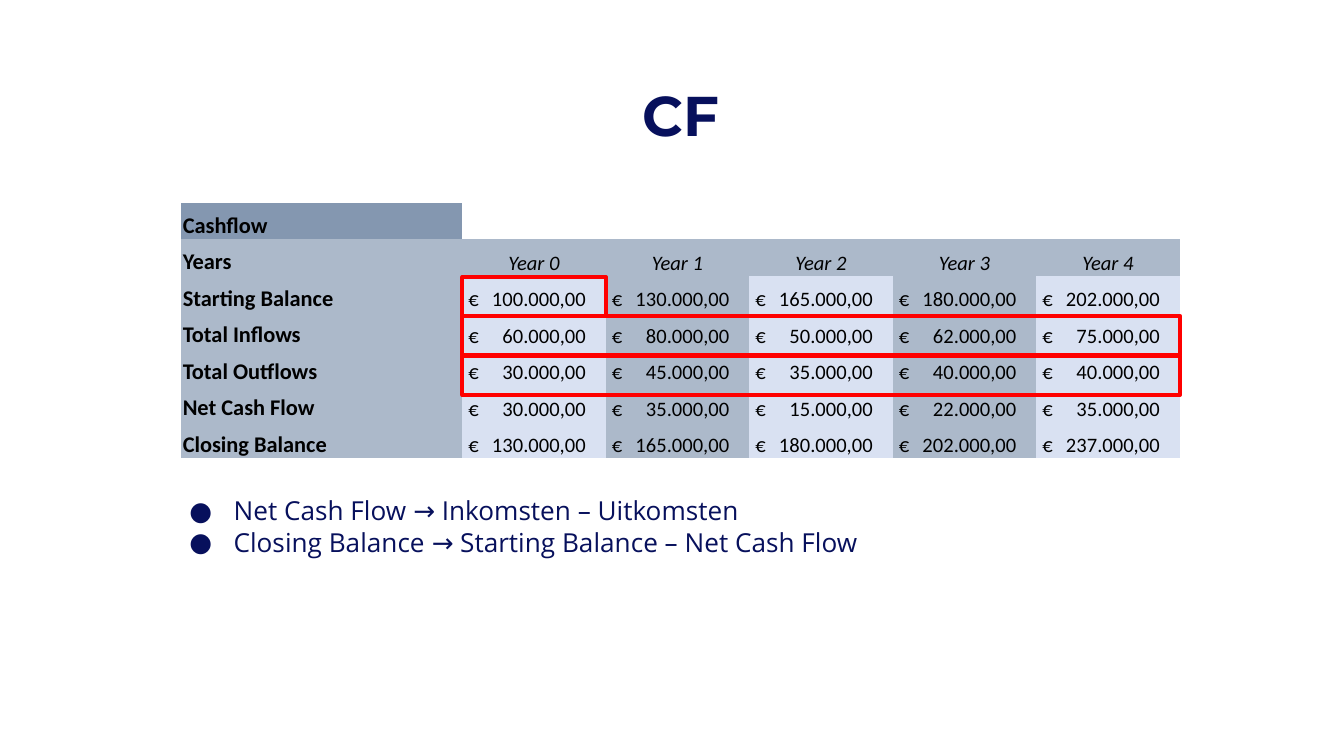
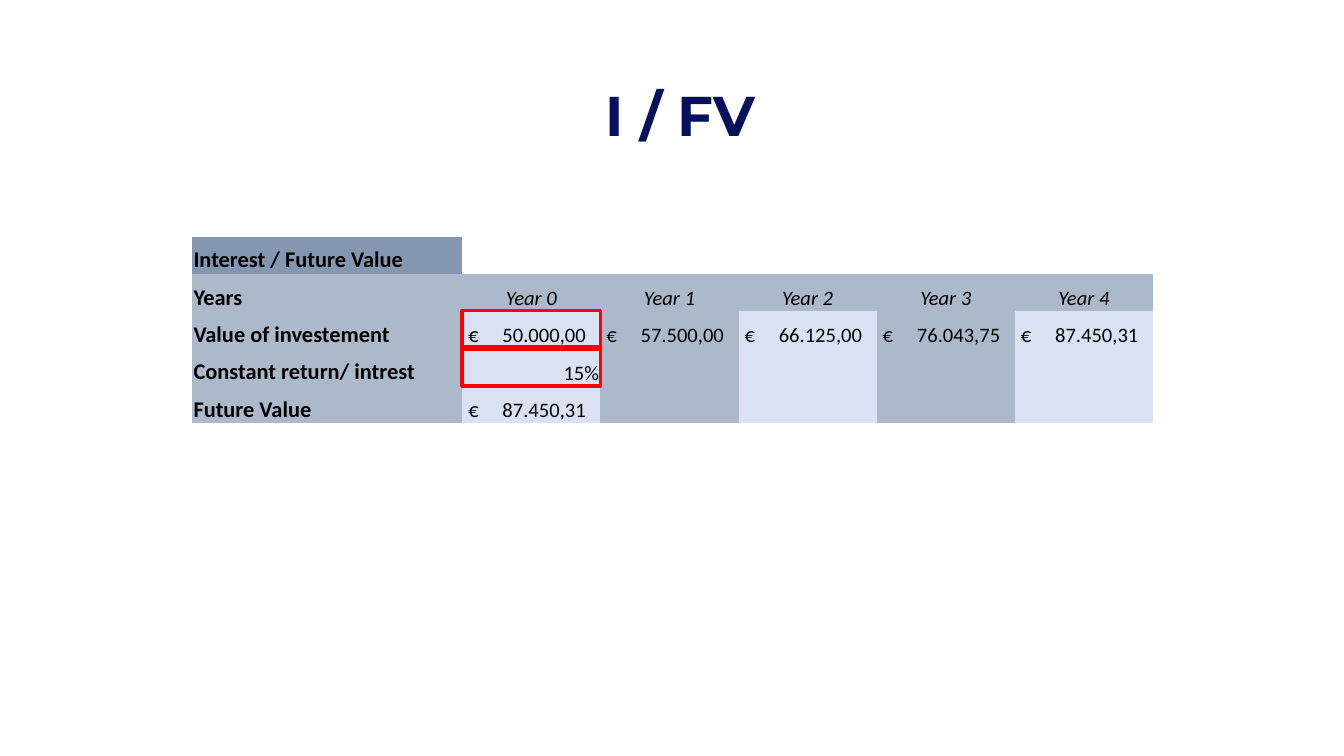
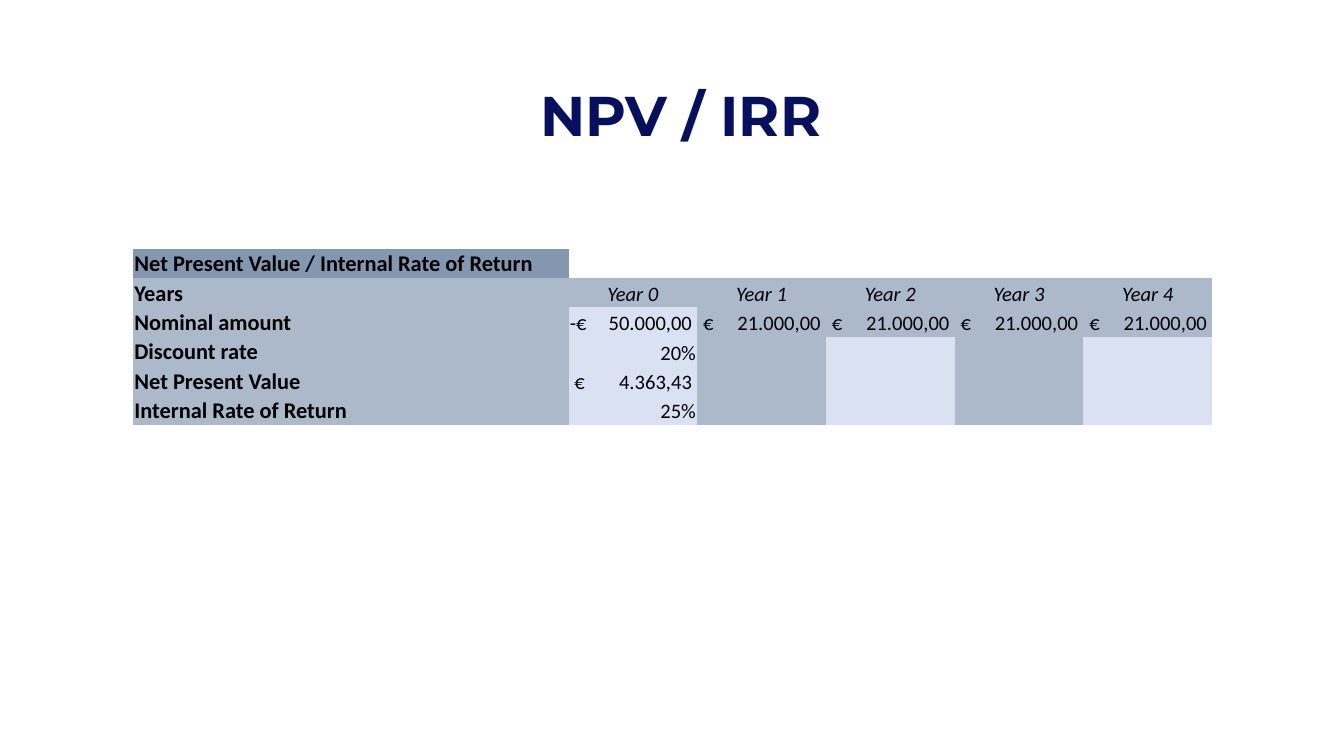
from lxml import etree
from pptx import Presentation
from pptx.dml.color import RGBColor
from pptx.enum.shapes import MSO_SHAPE
from pptx.enum.text import MSO_ANCHOR, PP_ALIGN
from pptx.oxml.ns import qn
from pptx.util import Inches, Pt

RECTANGLE = MSO_SHAPE.RECTANGLE
BOTTOM = MSO_ANCHOR.BOTTOM
LEFT, CENTER, RIGHT = PP_ALIGN.LEFT, PP_ALIGN.CENTER, PP_ALIGN.RIGHT

COLORS = {
    "navy": "07105C",
    "black": "000000",
    "header": "8497B0",
    "label": "ACB9CA",
    "light": "D9E1F2",
    "highlight": "FF0000",
}
NO_GRID_STYLE = "{2D5ABB26-0587-4C30-8999-92F81FD0307C}"
AMOUNT_TAB = 0.91
HIGHLIGHT_HEIGHT = 0.29
YEARS = ["Year 0", "Year 1", "Year 2", "Year 3", "Year 4"]

SLIDES = [
    {
        "title": "CF",
        "heading": "Cashflow",
        "rows": [
            ("Starting Balance", ["100.000,00", "130.000,00", "165.000,00", "180.000,00", "202.000,00"]),
            ("Total Inflows", ["60.000,00", "80.000,00", "50.000,00", "62.000,00", "75.000,00"]),
            ("Total Outflows", ["30.000,00", "45.000,00", "35.000,00", "40.000,00", "40.000,00"]),
            ("Net Cash Flow", ["30.000,00", "35.000,00", "15.000,00", "22.000,00", "35.000,00"]),
            ("Closing Balance", ["130.000,00", "165.000,00", "180.000,00", "202.000,00", "237.000,00"]),
        ],
        "left": 1.35, "top": 1.51, "width": 7.43, "height": 1.9, "label_width": 2.09,
        "highlights": [(2.06, 1), (2.35, 5), (2.65, 5)],
        "notes": [
            "Net Cash Flow → Inkomsten – Uitkomsten",
            "Closing Balance → Starting Balance – Net Cash Flow",
        ],
    },
    {
        "title": "I / FV",
        "heading": "Interest / Future Value",
        "rows": [
            ("Value of investement", ["50.000,00", "57.500,00", "66.125,00", "76.043,75", "87.450,31"]),
            ("Constant return/ intrest", ["15%"]),
            ("Future Value", ["87.450,31"]),
        ],
        "left": 1.43, "top": 1.76, "width": 7.15, "height": 1.39, "label_width": 2.01,
        "highlights": [(2.31, 1), (2.58, 1)],
    },
    {
        "title": "NPV / IRR",
        "heading": "Net Present Value / Internal Rate of Return",
        "rows": [
            ("Nominal amount", ["-50.000,00", "21.000,00", "21.000,00", "21.000,00", "21.000,00"]),
            ("Discount rate", ["20%"]),
            ("Net Present Value", ["4.363,43"]),
            ("Internal Rate of Return", ["25%"]),
        ],
        "left": 0.99, "top": 1.85, "width": 8.03, "height": 1.31, "label_width": 3.24,
        "unbanded": ["Nominal amount"],
    },
]


def rgb(name):
    return RGBColor.from_string(COLORS[name])


def year_width(content):
    return (content["width"] - content["label_width"]) / len(YEARS)


def write(paragraph, text, size=11, font="Calibri", color="black", bold=False, italic=False, align=LEFT):
    paragraph.alignment = align
    if not text:
        etree.SubElement(paragraph._p, qn("a:endParaRPr"), sz=str(size * 100))
        return
    run = paragraph.add_run()
    run.text = text
    run.font.size = Pt(size)
    run.font.name = font
    run.font.color.rgb = rgb(color)
    run.font.bold = bold
    run.font.italic = italic


def add_text_frame(slide, left, top, width, height):
    box = slide.shapes.add_textbox(Inches(left), Inches(top), Inches(width), Inches(height))
    frame = box.text_frame
    frame.word_wrap = True
    frame.margin_left = frame.margin_right = Inches(0.1)
    frame.margin_top = frame.margin_bottom = Inches(0.1)
    return frame


def add_notes(slide, notes):
    frame = add_text_frame(slide, 1.14, 3.58, 6.04, 1.39)
    for index, note in enumerate(notes):
        paragraph = frame.add_paragraph() if index else frame.paragraphs[0]
        write(paragraph, note, size=14, font="Open Sans", color="navy")
        properties = paragraph._p.get_or_add_pPr()
        properties.set("marL", str(Inches(0.5)))
        properties.set("indent", str(Inches(-0.33)))
        bullet_color = etree.SubElement(properties, qn("a:buClr"))
        etree.SubElement(bullet_color, qn("a:srgbClr"), val=COLORS["navy"])
        etree.SubElement(properties, qn("a:buSzPts"), val="1400")
        etree.SubElement(properties, qn("a:buFont"), typeface="Open Sans")
        etree.SubElement(properties, qn("a:buChar"), char="●")


def fill_cell(cell, text, fill, **style):
    cell.vertical_anchor = BOTTOM
    cell.margin_left = cell.margin_right = cell.margin_top = Inches(0.01)
    cell.margin_bottom = 0
    if fill:
        cell.fill.solid()
        cell.fill.fore_color.rgb = rgb(fill)
    else:
        cell.fill.background()
    write(cell.text_frame.paragraphs[0], text, **style)


def fill_value(cell, value, fill):
    if not value or value.endswith("%"):
        fill_cell(cell, value, fill, align=RIGHT)
        return
    sign = "-" if value.startswith("-") else " "
    fill_cell(cell, f"{sign}€\t{value.lstrip('-')}", fill)
    properties = cell.text_frame.paragraphs[0]._p.get_or_add_pPr()
    tabs = etree.SubElement(properties, qn("a:tabLst"))
    etree.SubElement(tabs, qn("a:tab"), pos=str(Inches(AMOUNT_TAB)), algn="r")


def add_year_table(slide, content):
    row_count, column_count = len(content["rows"]) + 2, len(YEARS) + 1
    widths = [content["label_width"]] + [year_width(content)] * len(YEARS)
    frame = slide.shapes.add_table(
        row_count, column_count, Inches(content["left"]), Inches(content["top"]),
        Inches(content["width"]), Inches(content["height"]))
    table = frame.table
    table.first_row = table.horz_banding = False
    table._tbl.tblPr.find(qn("a:tableStyleId")).text = NO_GRID_STYLE
    for column, width in zip(table.columns, widths):
        column.width = Inches(width)
    for row in table.rows:
        row.height = Inches(content["height"] / row_count)

    fill_cell(table.cell(0, 0), content["heading"], "header", size=12, bold=True)
    fill_cell(table.cell(1, 0), "Years", "label", size=12, bold=True)
    for column, year in enumerate(YEARS, 1):
        fill_cell(table.cell(0, column), "", None)
        fill_cell(table.cell(1, column), year, "label", italic=True, align=CENTER)
    for row, (label, values) in enumerate(content["rows"], 2):
        fill_cell(table.cell(row, 0), label, "label", size=12, bold=True)
        banded = label not in content.get("unbanded", [])
        for column in range(1, column_count):
            value = values[column - 1] if column <= len(values) else ""
            light = column == 1 or (banded and column % 2)
            fill_value(table.cell(row, column), value, "light" if light else "label")


def add_highlight(slide, content, top, year_count):
    left = content["left"] + content["label_width"]
    highlight = slide.shapes.add_shape(
        RECTANGLE, Inches(left), Inches(top),
        Inches(year_count * year_width(content)), Inches(HIGHLIGHT_HEIGHT))
    highlight.shadow.inherit = False
    highlight.fill.background()
    highlight.line.color.rgb = rgb("highlight")
    highlight.line.width = Pt(2)
    etree.SubElement(highlight.line._get_or_add_ln(), qn("a:round"))


def main():
    deck = Presentation()
    deck.slide_width = Inches(10)
    deck.slide_height = deck.slide_width * 9 // 16
    for content in SLIDES:
        slide = deck.slides.add_slide(deck.slide_layouts[6])
        title = add_text_frame(slide, 0.97, 0.5, 8.19, 0.63)
        write(title.paragraphs[0], content["title"], size=30, font="Montserrat",
              color="navy", bold=True, align=CENTER)
        add_year_table(slide, content)
        if "notes" in content:
            add_notes(slide, content["notes"])
        for top, year_count in content.get("highlights", []):
            add_highlight(slide, content, top, year_count)
    deck.save("out.pptx")


if __name__ == "__main__":
    main()
